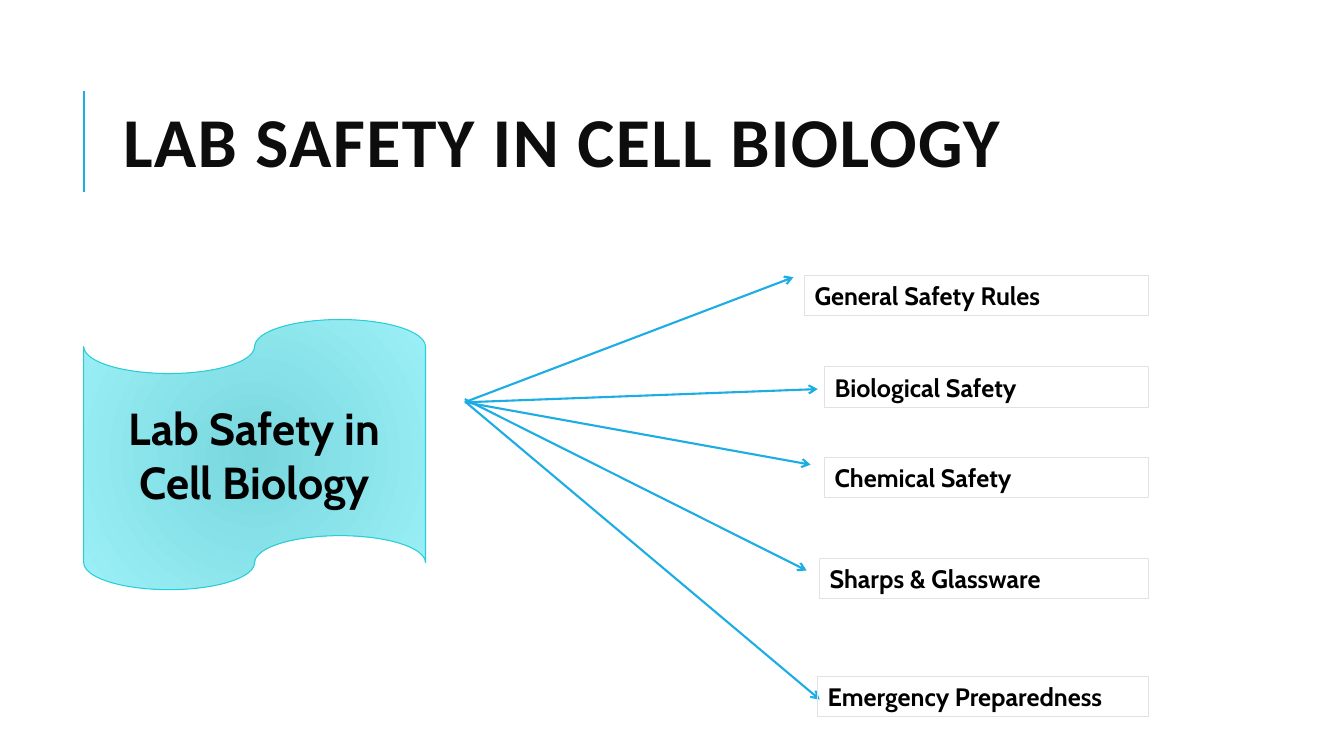
from dataclasses import dataclass

from lxml import etree
from pptx import Presentation
from pptx import util as u
from pptx.dml.color import RGBColor
from pptx.enum import shapes, text
from pptx.oxml.ns import qn


@dataclass(frozen=True)
class Theme:
    """Colours, fonts and type sizes of the slide."""
    accent: str = "1CADE4"
    heading: str = "0D0D0D"
    ink: str = "000000"
    tape_core: str = "79D7DE"
    tape_rim: str = "9CF0F7"
    tape_edge: str = "27CED7"
    box_edge: str = "DFE3E5"
    heading_font: str = "Calibri"
    body_font: str = "Cabin"
    heading_size: int = 50
    hub_size: int = 32
    topic_size: int = 18
    rule_width: float = 1.5
    edge_width: float = 0.75


class SafetySlide:
    """Draws the parts of the slide in one theme."""

    def __init__(self, deck, theme):
        """Add a title-only slide to the deck."""
        self.theme = theme
        self.slide = deck.slides.add_slide(deck.slide_layouts[5])

    def add_wording(self, frame, wording, font, size, colour, align):
        """Put one bold run in the first paragraph and return both."""
        paragraph = frame.paragraphs[0]
        paragraph.alignment = align
        run = paragraph.add_run()
        run.text = wording
        run.font.name = font
        run.font.size = u.Pt(size)
        run.font.bold = True
        run.font.color.rgb = RGBColor.from_string(colour)
        return paragraph, run

    def outline(self, line, colour, width):
        """Set the colour and width of a line."""
        line.color.rgb = RGBColor.from_string(colour)
        line.width = u.Pt(width)

    def title(self, wording, left, top, width, height):
        """Place and format the title placeholder."""
        heading = self.slide.shapes.title
        heading.left, heading.top = u.Inches(left), u.Inches(top)
        heading.width, heading.height = u.Inches(width), u.Inches(height)
        frame = heading.text_frame
        frame.word_wrap = True
        frame.auto_size = text.MSO_AUTO_SIZE.NONE
        frame.vertical_anchor = text.MSO_ANCHOR.MIDDLE
        style = self.theme
        paragraph, run = self.add_wording(frame, wording, style.heading_font, style.heading_size,
                                          style.heading, text.PP_ALIGN.LEFT)
        paragraph.line_spacing = 0.8
        run._r.get_or_add_rPr().set("spc", "100")

    def rule(self, start, end, arrow=False):
        """Draw an accent line, with an open arrowhead if asked."""
        ends = [u.Inches(value) for value in (*start, *end)]
        rule = self.slide.shapes.add_connector(shapes.MSO_CONNECTOR.STRAIGHT, *ends)
        self.outline(rule.line, self.theme.accent, self.theme.rule_width)
        properties = rule._element.spPr
        if arrow:
            etree.SubElement(properties.find(qn("a:ln")), qn("a:tailEnd"), type="arrow")
        etree.SubElement(properties, qn("a:effectLst"))

    def shape(self, kind, left, top, width, height, edge):
        """Add an outlined shape without a shadow."""
        shape = self.slide.shapes.add_shape(
            kind, u.Inches(left), u.Inches(top), u.Inches(width), u.Inches(height))
        shape.shadow.inherit = False
        self.outline(shape.line, edge, self.theme.edge_width)
        shape.text_frame.word_wrap = True
        return shape

    def hub(self, wording, left, top, width, height):
        """Draw the punched tape with its radial gradient."""
        style = self.theme
        tape = self.shape(shapes.MSO_SHAPE.FLOWCHART_PUNCHED_TAPE,
                          left, top, width, height, style.tape_edge)
        tape.fill.gradient()
        for stop, colour in zip(tape.fill.gradient_stops, (style.tape_core, style.tape_rim)):
            stop.color.rgb = RGBColor.from_string(colour)
        gradient = tape._element.spPr.find(qn("a:gradFill"))
        gradient.remove(gradient.find(qn("a:lin")))
        radial = etree.SubElement(gradient, qn("a:path"), {"path": "circle"})
        etree.SubElement(radial, qn("a:fillToRect"), dict.fromkeys("ltrb", "50000"))
        tape.text_frame.vertical_anchor = text.MSO_ANCHOR.MIDDLE
        self.add_wording(tape.text_frame, wording, style.body_font, style.hub_size, style.ink,
                         text.PP_ALIGN.CENTER)

    def topic(self, wording, left, top, right=11.39, height=0.4):
        """Draw a topic box that ends at the common right edge."""
        style = self.theme
        box = self.shape(shapes.MSO_SHAPE.RECTANGLE, left, top, right - left, height,
                         style.box_edge)
        box.fill.background()
        box.text_frame.auto_size = text.MSO_AUTO_SIZE.SHAPE_TO_FIT_TEXT
        box.text_frame.vertical_anchor = text.MSO_ANCHOR.TOP
        self.add_wording(box.text_frame, wording, style.body_font, style.topic_size, style.ink,
                         text.PP_ALIGN.LEFT)


TOPICS = [
    ("General Safety Rules", (7.98, 2.73), (4.61, 3.99), (7.87, 2.75)),
    ("Biological Safety", (8.18, 3.64), (4.65, 3.99), (8.11, 3.86)),
    ("Chemical Safety", (8.18, 4.54), (4.61, 3.99), (8.04, 4.61)),
    ("Sharps & Glassware", (8.13, 5.54), (4.61, 3.96), (8.0, 5.66)),
    ("Emergency Preparedness", (8.11, 6.71), (4.62, 3.99), (8.13, 6.94)),
]


def main():
    """Build and save the slide."""
    deck = Presentation()
    deck.slide_width, deck.slide_height = u.Inches(13.33), u.Inches(7.5)
    page = SafetySlide(deck, Theme())
    page.rule((0.83, 1.9), (0.83, 0.9))
    page.title("LAB SAFETY IN CELL BIOLOGY", 1.12, 0.64, 10.63, 1.64)
    page.hub("Lab Safety in Cell Biology", 0.83, 3.17, 3.39, 2.68)
    for wording, corner, start, end in TOPICS:
        page.rule(start, end, arrow=True)
        page.topic(wording, *corner)
    deck.save("out.pptx")


if __name__ == "__main__":
    main()
